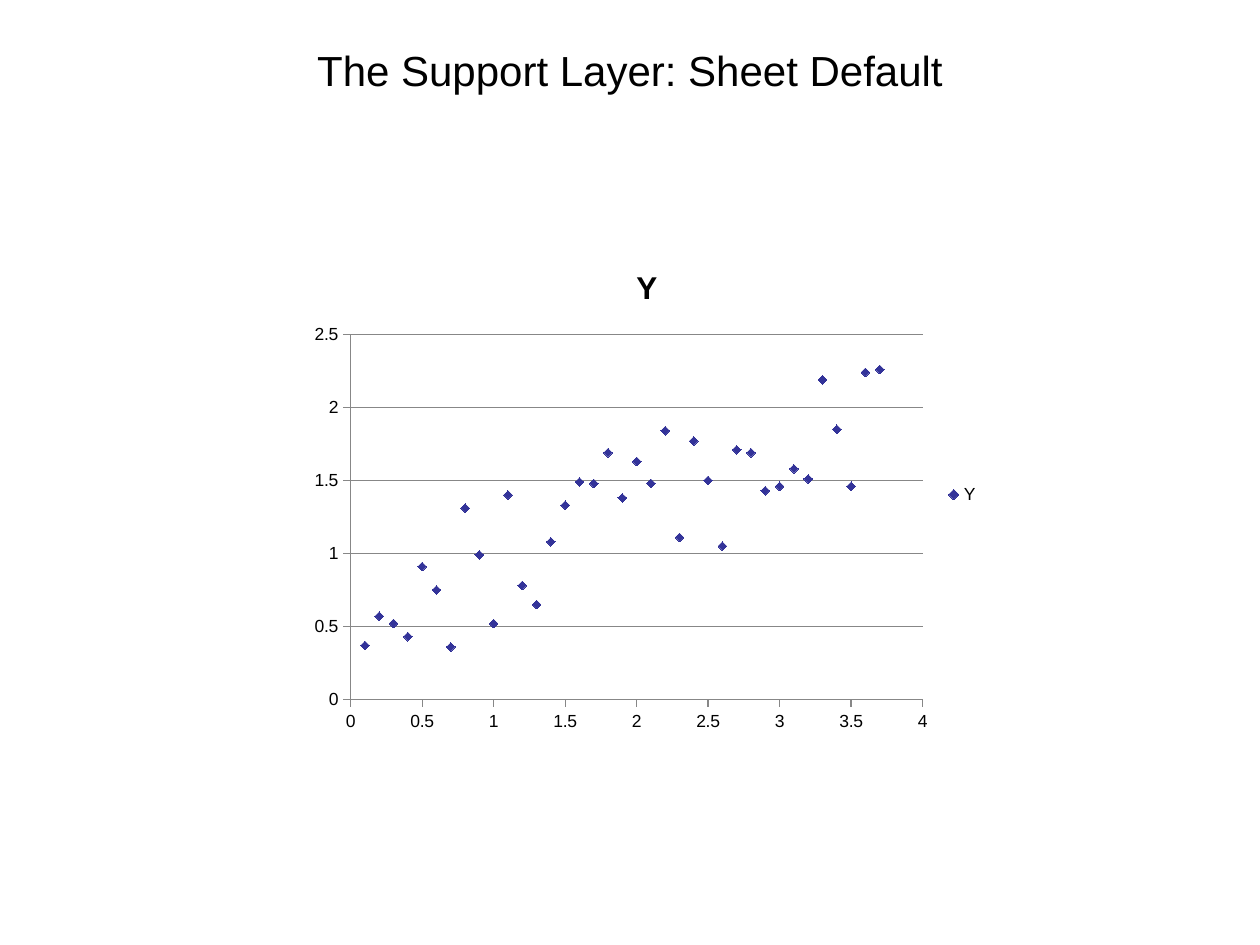
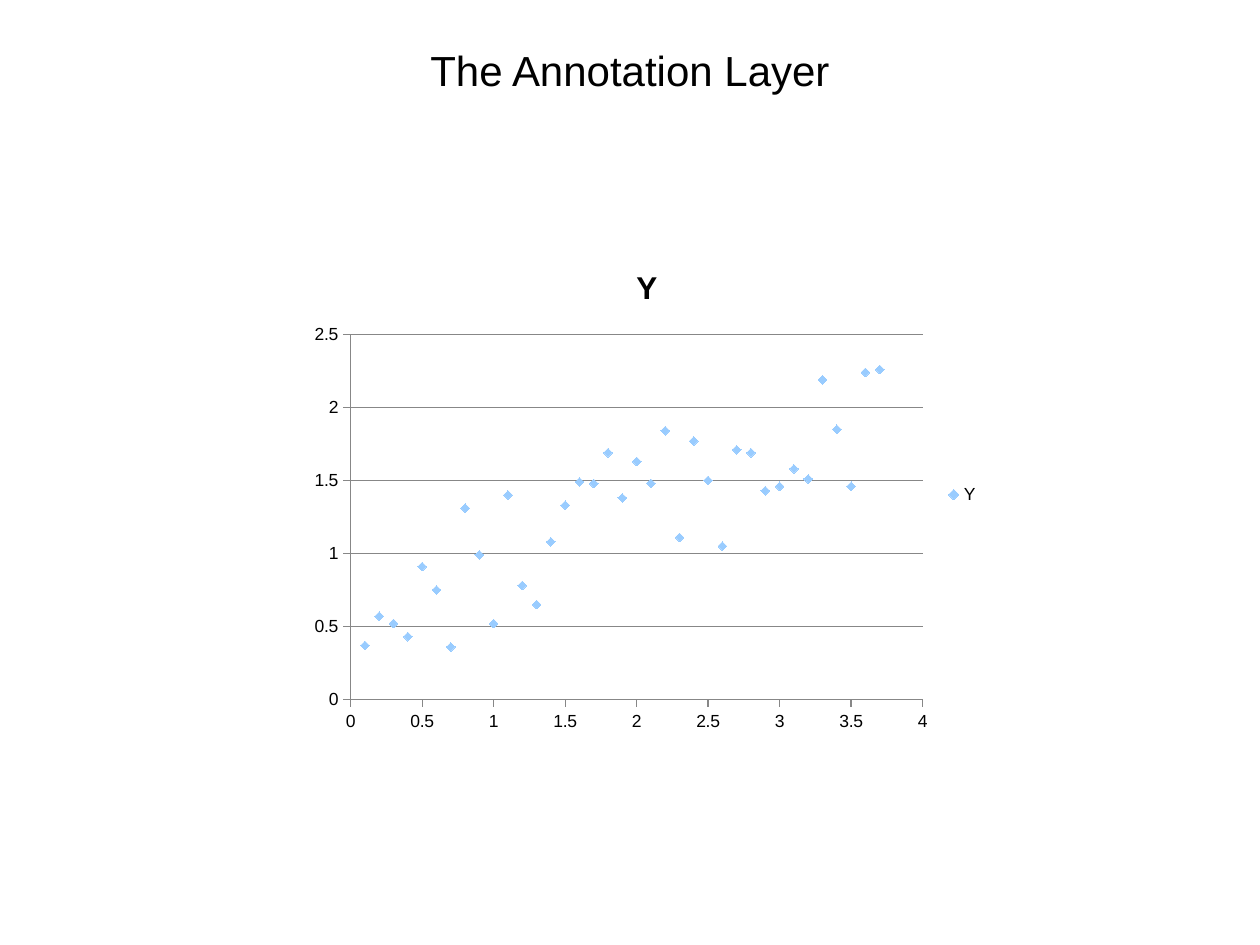
from lxml.etree import SubElement
from pptx import Presentation
from pptx.chart.data import XyChartData
from pptx.dml.color import RGBColor
from pptx.enum.chart import (XL_CHART_TYPE, XL_LEGEND_POSITION,
                             XL_MARKER_STYLE, XL_TICK_MARK)
from pptx.enum.text import MSO_ANCHOR, PP_ALIGN
from pptx.oxml.ns import qn
from pptx.util import Inches, Pt

# Content: title and marker colour of each slide
SLIDES = [
    ("The Support Layer: Sheet Default", "333399"),
    ("The Annotation Layer", "99CCFF"),
]
NAME = "Y"
STEP = 0.1  # x runs in equal steps, starting at one step
VALUES = [
    0.37, 0.57, 0.52, 0.43, 0.91, 0.75, 0.36, 1.31, 0.99, 0.52,
    1.4, 0.78, 0.65, 1.08, 1.33, 1.49, 1.48, 1.69, 1.38, 1.63,
    1.48, 1.84, 1.11, 1.77, 1.5, 1.05, 1.71, 1.69, 1.43, 1.46,
    1.58, 1.51, 2.19, 1.85, 1.46, 2.24, 2.26,
]

# Shared style, lengths in inches
WIDE, HIGH = 10, 7.5
TITLE = (0.5, 0.3, 9, 1.25)
CHART = (2.4, 1.94, 5.47, 3.97)
PLOT = {"x": 0.07, "y": 0.18, "w": 0.83, "h": 0.73}  # shares of the chart
FONT, BLACK, GRAY = "Arial", "000000", "878787"


def color(code):
    return RGBColor.from_string(code)


def style(font, size, bold=False, ink=BLACK):
    font.name, font.size, font.bold = FONT, Pt(size), bold
    font.color.rgb = color(ink)


def write(frame, text, size, bold=False, align=PP_ALIGN.CENTER):
    frame.text = text
    para = frame.paragraphs[0]
    para.alignment = align
    style(para.runs[0].font, size, bold)


def rule(line):
    line.color.rgb = color(GRAY)
    line.width = Pt(0.75)


def add_title(slide, text):
    shape = slide.shapes.title
    shape.left, shape.top, shape.width, shape.height = map(Inches, TITLE)
    frame = shape.text_frame
    frame.vertical_anchor = MSO_ANCHOR.TOP
    write(frame, text, 24)


def set_axis(axis, top, grid):
    axis.minimum_scale, axis.maximum_scale, axis.major_unit = 0, top, 0.5
    axis.major_tick_mark = XL_TICK_MARK.OUTSIDE
    axis.minor_tick_mark = XL_TICK_MARK.NONE
    axis.has_major_gridlines = grid
    if grid:
        rule(axis.major_gridlines.format.line)
    rule(axis.format.line)
    labels = axis.tick_labels
    labels.number_format, labels.number_format_is_linked = "General", False
    style(labels.font, 10)


def place_plot(chart):
    """Fix the inner plot area at its shares of the chart."""
    area = chart.element.find(".//" + qn("c:plotArea"))
    layout = area.find(qn("c:layout"))
    if layout is None:
        layout = SubElement(area, qn("c:layout"))
        area.insert(0, layout)
    manual = SubElement(layout, qn("c:manualLayout"))
    parts = [("layoutTarget", "inner"), ("xMode", "edge"), ("yMode", "edge")]
    for tag, val in parts + list(PLOT.items()):
        SubElement(manual, qn("c:" + tag)).set("val", str(val))


def add_scatter(slide, ink):
    data = XyChartData()
    points = data.add_series(NAME)
    for n, y in enumerate(VALUES, 1):
        points.add_data_point(round(n * STEP, 1), y)
    chart = slide.shapes.add_chart(
        XL_CHART_TYPE.XY_SCATTER, *map(Inches, CHART), data).chart
    style(chart.font, 10)

    # Heading and legend
    chart.has_title = True
    write(chart.chart_title.text_frame, NAME, 18, bold=True)
    chart.chart_title.include_in_layout = False
    chart.has_legend = True
    chart.legend.position = XL_LEGEND_POSITION.RIGHT
    chart.legend.include_in_layout = False
    style(chart.legend.font, 10)

    # Axes and plot
    set_axis(chart.category_axis, 4, grid=False)
    set_axis(chart.value_axis, 2.5, grid=True)
    place_plot(chart)

    # Markers without a joining line
    plot = chart.plots[0]
    plot.vary_by_categories = False
    series = plot.series[0]
    series.format.line.fill.background()
    series.smooth = False if hasattr(series, "smooth") else None
    marker = series.marker
    marker.style, marker.size = XL_MARKER_STYLE.DIAMOND, 5
    marker.format.fill.solid()
    marker.format.fill.fore_color.rgb = color(ink)
    marker.format.line.color.rgb = color(ink)


def main():
    deck = Presentation()
    deck.slide_width, deck.slide_height = Inches(WIDE), Inches(HIGH)
    for title, ink in SLIDES:
        slide = deck.slides.add_slide(deck.slide_layouts[5])
        add_title(slide, title)
        add_scatter(slide, ink)
    deck.save("out.pptx")


if __name__ == "__main__":
    main()
